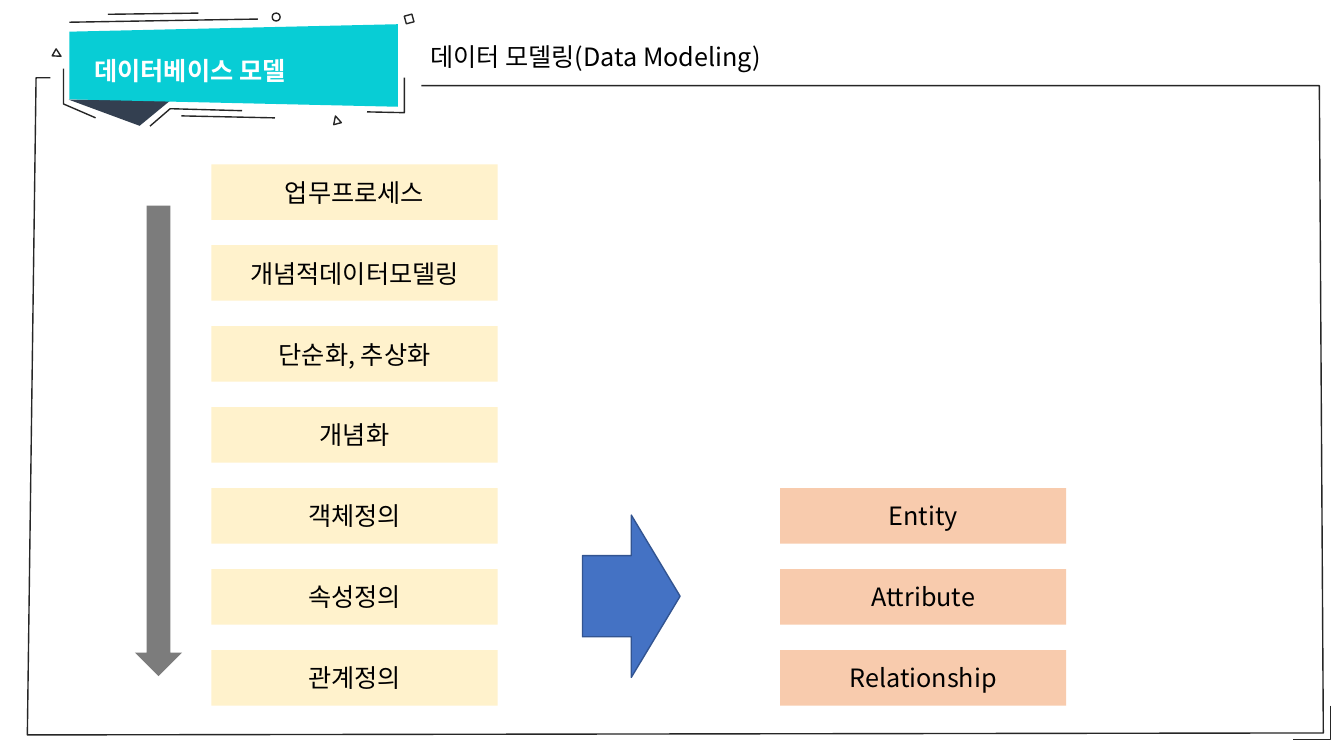
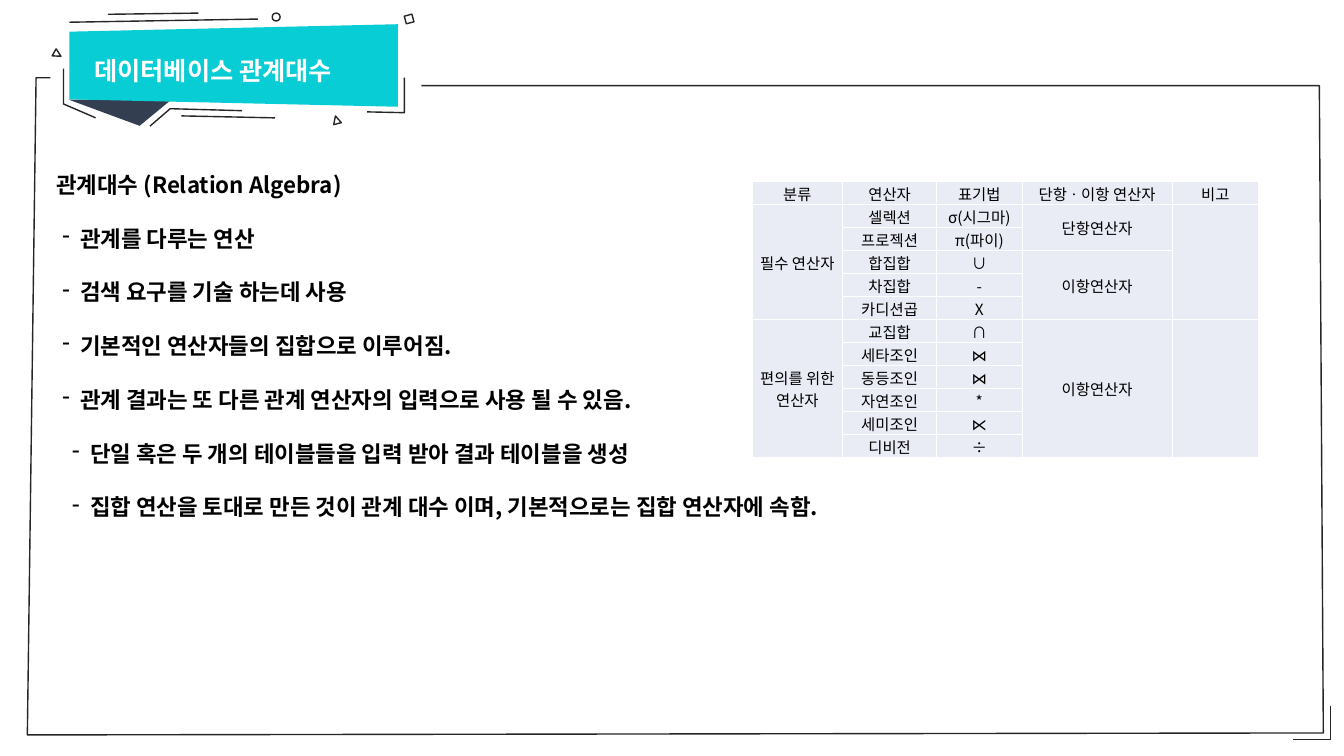
"""Build two slides on database modelling and relational algebra."""
from dataclasses import dataclass
from typing import Optional

import lxml.etree
import pptx
import pptx.dml.color
import pptx.enum.shapes
import pptx.enum.text
import pptx.oxml.ns
import pptx.util

Cm = pptx.util.Cm
Pt = pptx.util.Pt
Preset = pptx.enum.shapes.MSO_SHAPE
Align = pptx.enum.text.PP_ALIGN
Anchor = pptx.enum.text.MSO_ANCHOR
qn = pptx.oxml.ns.qn

FONT = "Noto Sans CJK KR"
BLACK = "000000"
WHITE = "FFFFFF"
INK = "262626"
NAVY = "333F50"
TURQUOISE = "08CDD5"
CREAM = "FFF2CC"
PEACH = "F8CBAD"
GREY = "7C7C7C"
BLUE = "4472C4"
DARK_BLUE = "325491"
CELL_FILL = "E9EBF5"


@dataclass(frozen=True)
class Figure:
    preset: int
    left: float
    top: float
    width: float
    height: float
    fill: Optional[str] = None
    line: Optional[str] = None
    rotation: float = 0
    adjustment: Optional[float] = None


@dataclass(frozen=True)
class Outline:
    points: tuple
    fill: Optional[str] = None


@dataclass(frozen=True)
class Stroke:
    start: tuple
    end: tuple


@dataclass(frozen=True)
class TextStyle:
    size: float = 18
    colour: str = BLACK
    bold: bool = False


@dataclass(frozen=True)
class Span:
    row: int
    column: int
    rows: int
    text: str = ""


MARK = 0.2
BADGE = (
    Outline(((10.62, 2.16), (33.25, 2.16), (33.35, 18.47), (0.69, 18.52),
             (0.91, 1.96), (1.27, 1.96)), WHITE),
    Outline(((33.53, 17.78), (33.53, 18.64), (32.59, 18.64))),
    Figure(Preset.ISOSCELES_TRIANGLE, 1.73, 2.51, 2.59, 0.66, NAVY,
           rotation=180, adjustment=0.31),
    Figure(Preset.TRAPEZOID, 4.85, -2.49, 2.08, 8.28, TURQUOISE,
           rotation=270, adjustment=0.09),
    Stroke((1.75, 0.56), (6.5, 0.48)),
    Stroke((2.72, 0.36), (5, 0.33)),
    Figure(Preset.OVAL, 6.86, 0.33, MARK, MARK, line=INK),
    Figure(Preset.ISOSCELES_TRIANGLE, 8.38, 2.92, MARK, MARK, line=INK, rotation=345),
    Outline(((1.6, 1.73), (1.6, 2.62), (2.41, 2.97))),
    Outline(((3.78, 3.18), (4.29, 2.74), (6.1, 2.79))),
    Outline(((10.19, 1.96), (10.19, 2.84), (9.25, 2.82))),
    Stroke((4.57, 2.92), (6.93, 2.97)),
    Figure(Preset.RECTANGLE, 10.21, 0.38, MARK, MARK, line=INK, rotation=345),
    Figure(Preset.ISOSCELES_TRIANGLE, 1.35, 1.27, MARK, MARK, line=INK, rotation=120),
)

STEPS = ("업무프로세스", "개념적데이터모델링", "단순화, 추상화", "개념화",
         "객체정의", "속성정의", "관계정의")
RESULTS = ("Entity", "Attribute", "Relationship")
STEP_TOP, STEP_PITCH = 4.14, 2.04
STEP_WIDTH, STEP_HEIGHT = 7.21, 1.4

ALGEBRA_HEADING = "관계대수 (Relation Algebra)"
ALGEBRA_POINTS = (
    (0.6, "관계를 다루는 연산"),
    (0.6, "검색 요구를 기술 하는데 사용"),
    (0.6, "기본적인 연산자들의 집합으로 이루어짐."),
    (0.6, "관계 결과는 또 다른 관계 연산자의 입력으로 사용 될 수 있음."),
    (0.85, "단일 혹은 두 개의 테이블들을 입력 받아 결과 테이블을 생성"),
    (0.85, "집합 연산을 토대로 만든 것이 관계 대수 이며, 기본적으로는 집합 연산자에 속함."),
)
DASH_HANG = 0.45

HEADERS = ("분류", "연산자", "표기법", "단항ㆍ이항 연산자", "비고")
OPERATORS = (
    ("셀렉션", "σ(시그마)"), ("프로젝션", "π(파이)"), ("합집합", "∪"), ("차집합", "-"),
    ("카디션곱", "X"), ("교집합", "∩"), ("세타조인", "⋈"), ("동등조인", "⋈"),
    ("자연조인", "*"), ("세미조인", "⋉"), ("디비전", "÷"),
)
SPANS = (
    Span(1, 0, 5, "필수 연산자"), Span(6, 0, 6, "편의를 위한 연산자"),
    Span(1, 3, 2, "단항연산자"), Span(3, 3, 3, "이항연산자"), Span(6, 3, 6, "이항연산자"),
    Span(1, 4, 5), Span(6, 4, 6),
)
COLUMN_WIDTHS = (2.29, 2.36, 2.16, 3.78, 2.18)
ROW_HEIGHT = 0.58


def colour(value: str) -> pptx.dml.color.RGBColor:
    return pptx.dml.color.RGBColor.from_string(value)


def paint(shape, fill: Optional[str], line: Optional[str]) -> None:
    shape.shadow.inherit = False
    if fill:
        shape.fill.solid()
        shape.fill.fore_color.rgb = colour(fill)
    else:
        shape.fill.background()
    if line:
        shape.line.color.rgb = colour(line)
        shape.line.width = Pt(1)
    else:
        shape.line.fill.background()


def add_run(paragraph, text: str, style: TextStyle) -> None:
    run = paragraph.add_run()
    run.text = text
    run.font.size = Pt(style.size)
    run.font.bold = style.bold
    run.font.color.rgb = colour(style.colour)
    run.font.name = FONT
    east_asian = lxml.etree.SubElement(run.font._element, qn("a:ea"))
    east_asian.set("typeface", FONT)


def draw_figure(slide, figure: Figure):
    shape = slide.shapes.add_shape(figure.preset, Cm(figure.left), Cm(figure.top),
                                   Cm(figure.width), Cm(figure.height))
    shape.rotation = figure.rotation
    if figure.adjustment is not None:
        shape.adjustments[0] = figure.adjustment
    paint(shape, figure.fill, figure.line)
    return shape


def draw_outline(slide, outline: Outline) -> None:
    first, *rest = [(Cm(x), Cm(y)) for x, y in outline.points]
    builder = slide.shapes.build_freeform(*first)
    builder.add_line_segments(rest, close=False)
    paint(builder.convert_to_shape(), outline.fill, INK)


def draw_stroke(slide, stroke: Stroke) -> None:
    connector = slide.shapes.add_connector(
        pptx.enum.shapes.MSO_CONNECTOR.STRAIGHT,
        *(Cm(value) for value in stroke.start + stroke.end))
    connector.line.color.rgb = colour(INK)
    connector.line.width = Pt(1)
    lxml.etree.SubElement(connector._element.spPr, qn("a:effectLst"))


def add_text_frame(slide, left: float, top: float, width: float, height: float,
                   wrap: bool = False):
    box = slide.shapes.add_textbox(Cm(left), Cm(top), Cm(width), Cm(height))
    box.text_frame.word_wrap = wrap
    box.text_frame.auto_size = pptx.enum.text.MSO_AUTO_SIZE.SHAPE_TO_FIT_TEXT
    return box.text_frame


def add_framed_slide(presentation, title: str, title_width: float):
    slide = presentation.slides.add_slide(presentation.slide_layouts[6])
    drawers = {Figure: draw_figure, Outline: draw_outline, Stroke: draw_stroke}
    for part in BADGE:
        drawers[type(part)](slide, part)
    paragraph = add_text_frame(slide, 2.13, 0.89, title_width, 1.42).paragraphs[0]
    paragraph.line_spacing = 1.5
    add_run(paragraph, title, TextStyle(colour=WHITE, bold=True))
    return slide


def draw_label_column(slide, labels: tuple, left: float, first_row: int, fill: str) -> None:
    for row, label in enumerate(labels, first_row):
        shape = draw_figure(slide, Figure(Preset.RECTANGLE, left, STEP_TOP + row * STEP_PITCH,
                                          STEP_WIDTH, STEP_HEIGHT, fill))
        shape.text_frame.vertical_anchor = Anchor.MIDDLE
        paragraph = shape.text_frame.paragraphs[0]
        paragraph.alignment = Align.CENTER
        add_run(paragraph, label, TextStyle())


def build_modeling_slide(presentation) -> None:
    slide = add_framed_slide(presentation, "데이터베이스 모델", 5.87)
    subtitle = add_text_frame(slide, 10.59, 0.91, 9.32, 1.02)
    add_run(subtitle.paragraphs[0], "데이터 모델링(Data Modeling)", TextStyle())
    draw_label_column(slide, STEPS, 5.33, 0, CREAM)
    draw_figure(slide, Figure(Preset.DOWN_ARROW, 3.4, 5.18, 1.19, 11.86, GREY))
    draw_label_column(slide, RESULTS, 19.66, len(STEPS) - len(RESULTS), PEACH)
    draw_figure(slide, Figure(Preset.RIGHT_ARROW, 14.68, 12.98, 2.46, 4.09, BLUE, DARK_BLUE))


def set_dash_bullet(paragraph, margin: float) -> None:
    properties = paragraph._p.get_or_add_pPr()
    properties.set("marL", str(Cm(margin)))
    properties.set("indent", str(-Cm(DASH_HANG)))
    lxml.etree.SubElement(properties, qn("a:buChar")).set("char", "-")


def format_cell(cell, text: str) -> None:
    properties = cell._tc.get_or_add_tcPr()
    for side in ("a:lnL", "a:lnR", "a:lnT", "a:lnB"):
        border = lxml.etree.SubElement(properties, qn(side))
        border.set("w", str(Pt(1)))
        border_fill = lxml.etree.SubElement(border, qn("a:solidFill"))
        lxml.etree.SubElement(border_fill, qn("a:srgbClr")).set("val", WHITE)
    cell.fill.solid()
    cell.fill.fore_color.rgb = colour(CELL_FILL)
    cell.margin_left = cell.margin_right = cell.margin_top = Cm(0.02)
    cell.margin_bottom = Cm(0)
    cell.vertical_anchor = Anchor.MIDDLE
    paragraph = cell.text_frame.paragraphs[0]
    paragraph.alignment = Align.CENTER
    if text:
        add_run(paragraph, text, TextStyle(size=11))
    else:
        lxml.etree.SubElement(paragraph._p, qn("a:endParaRPr")).set("sz", "1100")


def draw_operator_table(slide) -> None:
    row_count = len(OPERATORS) + 1
    table = slide.shapes.add_table(row_count, len(HEADERS), Cm(18.95), Cm(4.57),
                                   Cm(sum(COLUMN_WIDTHS)), Cm(row_count * ROW_HEIGHT)).table
    table.first_row = table.horz_banding = False
    for column, width in zip(table.columns, COLUMN_WIDTHS):
        column.width = Cm(width)
    texts = {(0, column): header for column, header in enumerate(HEADERS)}
    for row, (operator, notation) in enumerate(OPERATORS, 1):
        texts[row, 1], texts[row, 2] = operator, notation
    for span in SPANS:
        texts[span.row, span.column] = span.text
        last = table.cell(span.row + span.rows - 1, span.column)
        table.cell(span.row, span.column).merge(last)
    for row in range(row_count):
        table.rows[row].height = Cm(ROW_HEIGHT)
        for column in range(len(HEADERS)):
            format_cell(table.cell(row, column), texts.get((row, column), ""))


def build_algebra_slide(presentation) -> None:
    slide = add_framed_slide(presentation, "데이터베이스 관계대수", 7.16)
    frame = add_text_frame(slide, 1.17, 3.51, 31.78, 10.97, wrap=True)
    style = TextStyle(size=16, bold=True)
    add_run(frame.paragraphs[0], ALGEBRA_HEADING, style)
    for margin, text in ALGEBRA_POINTS:
        paragraph = frame.add_paragraph()
        set_dash_bullet(paragraph, margin)
        add_run(paragraph, text, style)
    for paragraph in frame.paragraphs:
        paragraph.line_spacing = 2.0
    draw_operator_table(slide)


def main() -> None:
    presentation = pptx.Presentation()
    presentation.slide_width = Cm(33.87)
    presentation.slide_height = Cm(19.05)
    build_modeling_slide(presentation)
    build_algebra_slide(presentation)
    presentation.save("out.pptx")


if __name__ == "__main__":
    main()
